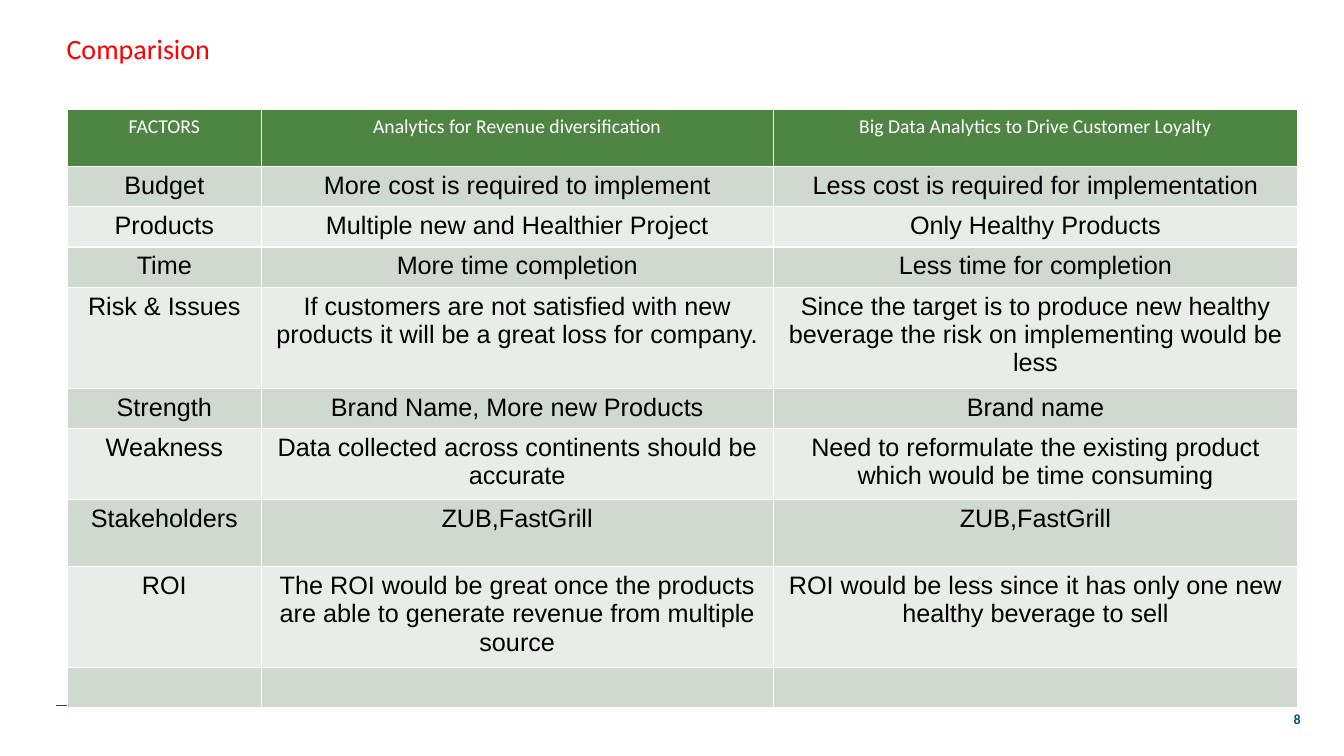
from dataclasses import dataclass

from lxml.etree import SubElement
from pptx import Presentation
from pptx.dml.color import RGBColor
from pptx.enum.shapes import MSO_CONNECTOR as Connector
from pptx.enum.text import MSO_ANCHOR as Anchor, PP_ALIGN as Align
from pptx.oxml.ns import qn
from pptx.slide import Slide
from pptx.text.text import TextFrame
from pptx.util import Inches, Pt

WHITE = RGBColor(0xFF, 0xFF, 0xFF)
BLACK = RGBColor(0x00, 0x00, 0x00)
RED = RGBColor(0xFF, 0x00, 0x00)
BLUE = RGBColor(0x00, 0x54, 0x83)
HEADER_GREEN = RGBColor(0x4E, 0x84 + 1, 0x42)
BANDS = (RGBColor(0xD0, 0xD9, 0xCF), RGBColor(0xE9, 0xED, 0xE9))

SLIDE_WIDTH, SLIDE_HEIGHT = Inches(13.33), Inches(7.5)
MARGIN = Inches(0.56)
TABLE_LEFT, TABLE_TOP = Inches(0.67), Inches(1.09)
COLUMN_WIDTHS = (1.92, 5.08, 5.2)


@dataclass(frozen=True)
class Factor:
    name: str
    diversification: str
    loyalty: str
    height: float = 0.38


HEADER = Factor("FACTORS", "Analytics for Revenue diversification",
                "Big Data Analytics to Drive Customer Loyalty", 0.56)
FACTORS = (
    Factor("Budget", "More cost is required to implement",
           "Less cost is required for implementation"),
    Factor("Products", "Multiple new and Healthier Project", "Only Healthy Products"),
    Factor("Time", "More time completion", "Less time for completion"),
    Factor("Risk & Issues",
           "If customers are not satisfied with new products it will be a great loss for company.",
           "Since the target is to produce new healthy beverage the risk on implementing would be less",
           0.94),
    Factor("Strength", "Brand Name, More new Products", "Brand name"),
    Factor("Weakness", "Data collected across continents should be accurate",
           "Need to reformulate the existing product which would be time consuming", 0.66),
    Factor("Stakeholders", "ZUB,FastGrill", "ZUB,FastGrill", 0.67),
    Factor("ROI",
           "The ROI would be great once the products are able to generate revenue from multiple source",
           "ROI would be less since it has only one new healthy beverage to sell", 0.94),
    Factor("", "", "", 0.39),
)


def write(frame: TextFrame, text: str, *, size: float, color: RGBColor,
          font: str = "Calibri", bold: bool = False, align: Align = Align.CENTER) -> None:
    """Put formatted text into the first paragraph of a frame."""
    paragraph = frame.paragraphs[0]
    paragraph.alignment = align
    if not text:
        paragraph.font.size = Pt(size)
        return
    run = paragraph.add_run()
    run.text = text
    run.font.name, run.font.size = font, Pt(size)
    run.font.bold, run.font.color.rgb = bold, color


def add_title(slide: Slide, text: str) -> None:
    title = slide.shapes.title
    title.left, title.top = MARGIN, Inches(0.17)
    title.width, title.height = Inches(12), Inches(0.62)
    title.text_frame.vertical_anchor = Anchor.MIDDLE
    write(title.text_frame, text, size=20, color=RED, align=Align.LEFT)


def add_comparison(slide: Slide) -> None:
    rows = (HEADER, *FACTORS)
    table = slide.shapes.add_table(
        len(rows), len(COLUMN_WIDTHS), TABLE_LEFT, TABLE_TOP,
        Inches(sum(COLUMN_WIDTHS)), Inches(sum(row.height for row in rows))).table
    for column, width in zip(table.columns, COLUMN_WIDTHS):
        column.width = Inches(width)
    for index, factor in enumerate(rows):
        table.rows[index].height = Inches(factor.height)
        is_header = index == 0
        texts = (factor.name, factor.diversification, factor.loyalty)
        for cell, text in zip(table.rows[index].cells, texts):
            cell.fill.solid()
            cell.fill.fore_color.rgb = HEADER_GREEN if is_header else BANDS[(index - 1) % 2]
            if is_header:
                write(cell.text_frame, text, size=14, color=WHITE)
            else:
                write(cell.text_frame, text, size=18, color=BLACK, font="Arial")


def add_footer(slide: Slide, number: str) -> None:
    # Rule above the bottom edge
    rule = slide.shapes.add_connector(
        Connector.STRAIGHT, MARGIN, Inches(7), Inches(10.44), Inches(7))
    rule.line.color.rgb, rule.line.width = BLUE, Pt(0.75)
    SubElement(rule.element.spPr, qn("a:effectLst"))

    # Slide number
    box = slide.shapes.add_textbox(Inches(9.56), Inches(6.98), Inches(3.44), Inches(0.3))
    box.text_frame.word_wrap = True
    box.text_frame.vertical_anchor = Anchor.MIDDLE
    write(box.text_frame, number, size=10, color=BLUE, bold=True, align=Align.RIGHT)


def main() -> None:
    presentation = Presentation()
    presentation.slide_width, presentation.slide_height = SLIDE_WIDTH, SLIDE_HEIGHT
    slide = presentation.slides.add_slide(presentation.slide_layouts[5])
    add_footer(slide, "8")
    add_title(slide, "Comparision")
    add_comparison(slide)
    presentation.save("out.pptx")


if __name__ == "__main__":
    main()
